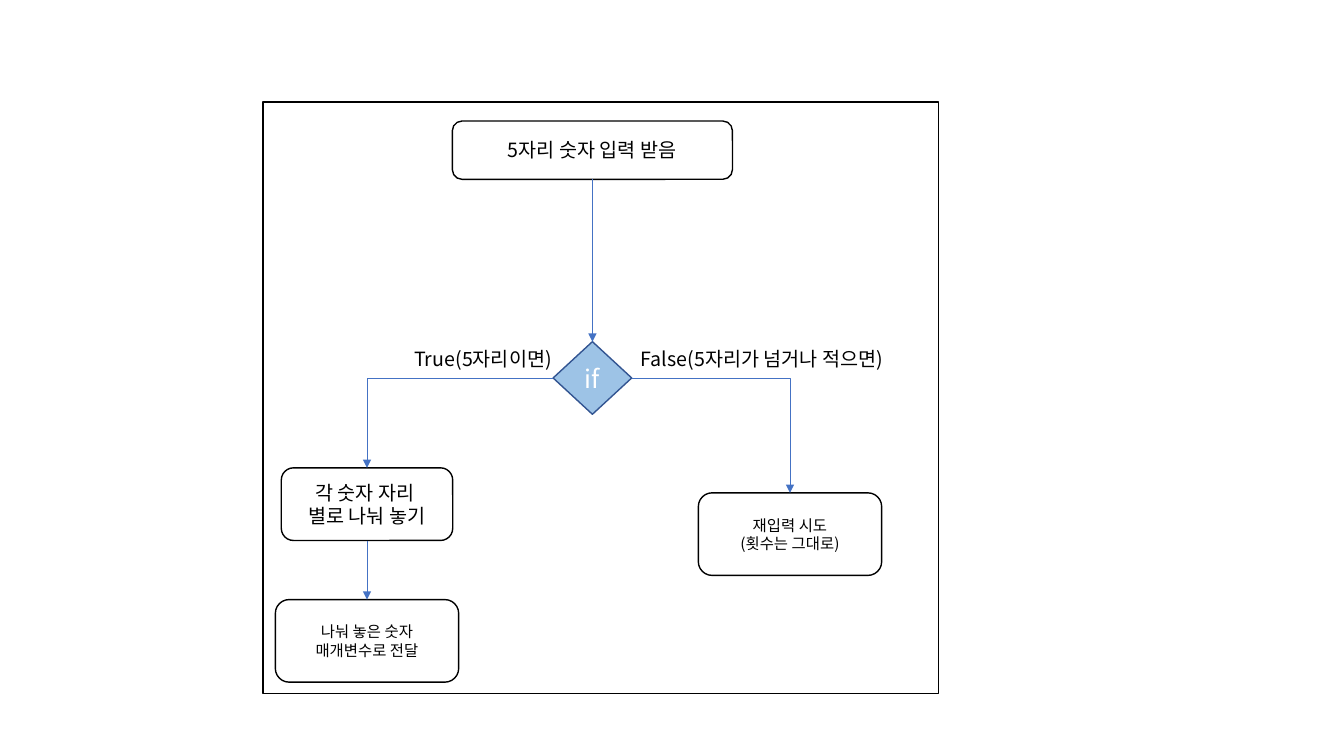
from dataclasses import dataclass

from lxml import etree
from pptx import Presentation
from pptx import util as u
from pptx.dml.color import RGBColor
from pptx.enum import shapes, text
from pptx.oxml import ns

TOP, LEFT, BOTTOM, RIGHT = range(4)


@dataclass(frozen=True)
class Theme:
    font: str = "Noto Sans CJK KR"
    ink: str = "000000"
    paper: str = "FFFFFF"
    decision_fill: str = "9DC3E6"
    decision_line: str = "325491"
    arrow: str = "4472C4"
    small: int = 11
    body: int = 14
    large: int = 18
    outline: float = 1
    arrow_width: float = 0.5


@dataclass(frozen=True)
class Box:
    """Position and size in centimetres."""
    left: float
    top: float
    width: float
    height: float

    def lengths(self) -> list[u.Cm]:
        return [u.Cm(v) for v in (self.left, self.top, self.width, self.height)]


@dataclass(frozen=True)
class Node:
    name: str
    box: Box
    words: str = ""
    size: int = Theme.body
    kind: shapes.MSO_SHAPE = shapes.MSO_SHAPE.ROUNDED_RECTANGLE
    fill: str | None = None
    line: str = Theme.ink
    color: str = Theme.ink


@dataclass(frozen=True)
class Label:
    box: Box
    words: str


@dataclass(frozen=True)
class Arrow:
    start: str
    start_side: int
    end: str
    bent: bool = False


THEME = Theme()

NODES = [
    Node("frame", Box(6.63, 2.57, 17.02, 14.91), kind=shapes.MSO_SHAPE.RECTANGLE),
    Node("input", Box(11.4, 3.05, 7.06, 1.47), "5자리 숫자 입력 받음"),
    Node("decision", Box(13.94, 8.61, 1.98, 1.83), "if", THEME.large,
         shapes.MSO_SHAPE.FLOWCHART_DECISION, THEME.decision_fill,
         THEME.decision_line, THEME.paper),
    Node("pass", Box(6.94, 15.11, 4.62, 2.08),
         "나눠 놓은 숫자\n매개변수로 전달", THEME.small),
    Node("retry", Box(17.6, 12.42, 4.62, 2.08),
         "재입력 시도\n(횟수는 그대로)", THEME.small),
    Node("split", Box(7.09, 11.79, 4.32, 1.83), "각 숫자 자리 \n별로 나눠 놓기"),
]

ARROWS = [
    Arrow("input", BOTTOM, "decision"),
    Arrow("decision", LEFT, "split", bent=True),
    Arrow("decision", RIGHT, "retry", bent=True),
    Arrow("split", BOTTOM, "pass"),
]

LABELS = [
    Label(Box(10.19, 8.61, 4.04, 0.86), "True(5자리이면)"),
    Label(Box(15.9, 8.61, 7.77, 0.86), "False(5자리가 넘거나 적으면)"),
]


def rgb(value: str) -> RGBColor:
    return RGBColor.from_string(value)


def write(tf, words: str, size: int, color: str, align: text.PP_ALIGN) -> None:
    tf.word_wrap = True
    tf.text = words
    for p in tf.paragraphs:
        p.alignment = align
        for r in p.runs:
            r.font.name = THEME.font
            r.font.size = u.Pt(size)
            r.font.color.rgb = rgb(color)
            latin = r.font._element.find(ns.qn("a:latin"))
            ea = etree.Element(ns.qn("a:ea"), typeface=THEME.font)
            latin.addnext(ea)


def draw_node(s, node: Node):
    sp = s.shapes.add_shape(node.kind, *node.box.lengths())
    sp.shadow.inherit = False
    if node.fill:
        sp.fill.solid()
        sp.fill.fore_color.rgb = rgb(node.fill)
    else:
        sp.fill.background()
    sp.line.color.rgb = rgb(node.line)
    sp.line.width = u.Pt(THEME.outline)
    if node.words:
        sp.text_frame.vertical_anchor = text.MSO_ANCHOR.MIDDLE
        write(sp.text_frame, node.words, node.size, node.color, text.PP_ALIGN.CENTER)
    return sp


def draw_label(s, label: Label) -> None:
    tf = s.shapes.add_textbox(*label.box.lengths()).text_frame
    write(tf, label.words, THEME.body, THEME.ink, text.PP_ALIGN.LEFT)
    tf.auto_size = text.MSO_AUTO_SIZE.SHAPE_TO_FIT_TEXT


def draw_arrow(s, arrow: Arrow, drawn: dict) -> None:
    """Join a side of one node to the top of another; a bent arrow turns once."""
    kind = shapes.MSO_CONNECTOR.ELBOW if arrow.bent else shapes.MSO_CONNECTOR.STRAIGHT
    cx = s.shapes.add_connector(kind, 0, 0, 0, 0)
    cx.begin_connect(drawn[arrow.start], arrow.start_side)
    cx.end_connect(drawn[arrow.end], TOP)
    cx.line.color.rgb = rgb(THEME.arrow)
    cx.line.width = u.Pt(THEME.arrow_width)
    sp_pr = cx._element.spPr
    if arrow.bent:
        sp_pr.find(ns.qn("a:prstGeom")).set("prst", "bentConnector2")
    etree.SubElement(sp_pr.find(ns.qn("a:ln")), ns.qn("a:tailEnd"), type="triangle")
    etree.SubElement(sp_pr, ns.qn("a:effectLst"))


def main() -> None:
    prs = Presentation()
    prs.slide_width, prs.slide_height = u.Cm(33.87), u.Cm(19.05)
    s = prs.slides.add_slide(prs.slide_layouts[6])
    drawn = {node.name: draw_node(s, node) for node in NODES}
    for arrow in ARROWS:
        draw_arrow(s, arrow, drawn)
    for label in LABELS:
        draw_label(s, label)
    prs.save("out.pptx")


if __name__ == "__main__":
    main()
